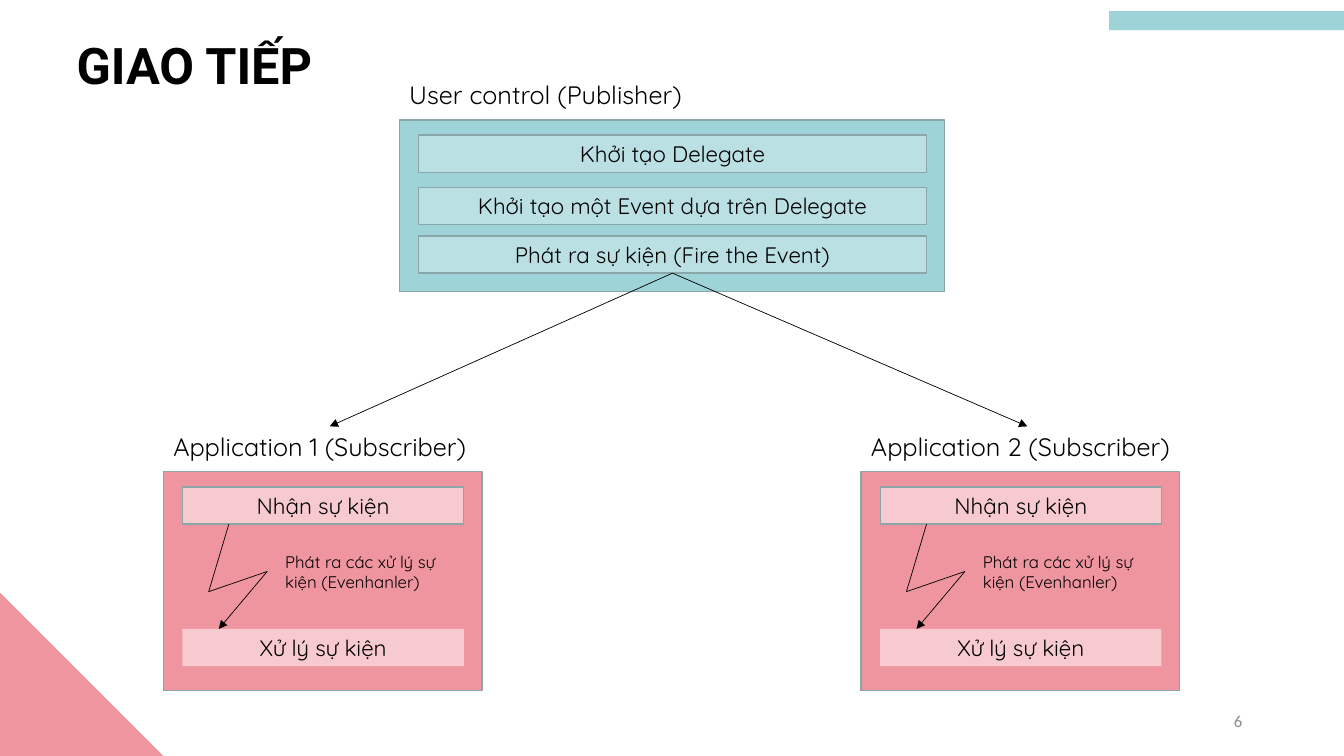
from dataclasses import dataclass
from itertools import pairwise

from lxml import etree
from pptx import Presentation
from pptx import util as u
from pptx.dml import color
from pptx.enum import shapes, text
from pptx.oxml import ns

TEAL, PALE_TEAL = "9ED3D7", "BBE0E3"
PINK, PALE_PINK = "EF95A0", "F7CAD0"
BORDER, BLACK, GREY = "8AA6A8", "000000", "8C8C8C"
RECTANGLE = shapes.MSO_SHAPE.RECTANGLE
LEFT, CENTER, RIGHT = text.PP_ALIGN.LEFT, text.PP_ALIGN.CENTER, text.PP_ALIGN.RIGHT
TOP, MIDDLE = text.MSO_ANCHOR.TOP, text.MSO_ANCHOR.MIDDLE


@dataclass(frozen=True)
class Area:
    left: float
    top: float
    width: float
    height: float

    def inches(self) -> list:
        return [u.Inches(v) for v in (self.left, self.top, self.width, self.height)]


@dataclass(frozen=True)
class Subscriber:
    name: str
    left: float
    arrow_end: float


SUBSCRIBERS = [
    Subscriber("Application 1 (Subscriber)", 1.62, 3.27),
    Subscriber("Application 2 (Subscriber)", 8.54, 10.19),
]
PUBLISHER_STEPS = {
    1.34: "Khởi tạo Delegate",
    1.86: "Khởi tạo một Event dựa trên Delegate",
    2.34: "Phát ra sự kiện (Fire the Event)",
}
ZIGZAG = [(0.65, 5.2), (0.45, 5.87), (1.03, 5.67), (0.55, 6.24)]


def rgb(value: str) -> color.RGBColor:
    return color.RGBColor.from_string(value)


def write(shape, words: str, size: float, align=LEFT, anchor=TOP,
          font: str = "Quicksand", ink: str = BLACK, bold: bool = False) -> None:
    frame = shape.text_frame
    frame.text = words
    frame.word_wrap = True
    frame.auto_size = text.MSO_AUTO_SIZE.NONE
    frame.vertical_anchor = anchor
    para = frame.paragraphs[0]
    para.alignment = align
    span = para.runs[0].font
    span.name, span.size, span.bold = font, u.Pt(size), bold
    span.color.rgb = rgb(ink)


def add_block(page, area: Area, fill: str, border: str = "", kind=RECTANGLE):
    block = page.shapes.add_shape(kind, *area.inches())
    block.shadow.inherit = False
    block.fill.solid()
    block.fill.fore_color.rgb = rgb(fill)
    if border:
        block.line.color.rgb = rgb(border)
        block.line.width = u.Pt(1)
    else:
        block.line.fill.background()
    return block


def add_step(page, area: Area, words: str, fill: str, border: str = BORDER) -> None:
    write(add_block(page, area, fill, border), words, 16, CENTER)


def add_label(page, area: Area, words: str, size: float, **style) -> None:
    write(page.shapes.add_textbox(*area.inches()), words, size, **style)


def add_line(page, start: tuple, end: tuple, arrow: bool = False) -> None:
    line = page.shapes.add_connector(
        shapes.MSO_CONNECTOR.STRAIGHT, *(u.Inches(v) for v in start + end))
    line.line.color.rgb = rgb(BLACK)
    line.line.width = u.Pt(0.5)
    if arrow:
        etree.SubElement(line.line._get_or_add_ln(), ns.qn("a:tailEnd"), type="triangle")
    etree.SubElement(line._element.spPr, ns.qn("a:effectLst"))


def add_title(page, words: str) -> None:
    title = page.shapes.title
    title.left, title.top, title.width, title.height = Area(0.76, 0.34, 11.82, 0.61).inches()
    write(title, words, 36, font="Roboto", bold=True)
    frame = title.text_frame
    frame.margin_left = frame.margin_top = frame.margin_right = frame.margin_bottom = 0


def add_publisher(page) -> None:
    add_label(page, Area(3.96, 0.74, 5.49, 0.4), "User control (Publisher)", 18)
    add_block(page, Area(3.96, 1.19, 5.41, 1.7), TEAL, BORDER)
    for top, words in PUBLISHER_STEPS.items():
        add_step(page, Area(4.15, top, 5.04, 0.37), words, PALE_TEAL)


def add_subscriber(page, app: Subscriber) -> None:
    add_label(page, Area(app.left, 4.23, 3.28, 0.4), app.name, 18)
    add_block(page, Area(app.left, 4.68, 3.16, 2.17), PINK, BORDER)
    add_step(page, Area(app.left + 0.19, 4.83, 2.79, 0.37), "Nhận sự kiện", PALE_PINK)
    add_step(page, Area(app.left + 0.19, 6.24, 2.79, 0.37), "Xử lý sự kiện", PALE_PINK, "")
    points = [(app.left + x, y) for x, y in ZIGZAG]
    for start, end in pairwise(points):
        add_line(page, start, end, arrow=end == points[-1])
    add_label(page, Area(app.left + 1.11, 5.42, 1.86, 0.5),
              "Phát ra các xử lý sự kiện (Evenhanler)", 12)


def main() -> None:
    deck = Presentation()
    deck.slide_width, deck.slide_height = u.Inches(13.33), u.Inches(7.5)
    page = deck.slides.add_slide(deck.slide_layouts.get_by_name("Title Only"))
    add_block(page, Area(0, 5.88, 1.62, 1.62), PINK, kind=shapes.MSO_SHAPE.RIGHT_TRIANGLE)
    add_block(page, Area(11, 0.11, 2.33, 0.19), TEAL)
    add_title(page, "GIAO TIẾP")
    add_label(page, Area(9.42, 6.95, 3, 0.4), "6", 12,
              align=RIGHT, anchor=MIDDLE, font="Calibri", ink=GREY)
    add_publisher(page)
    for app in SUBSCRIBERS:
        add_subscriber(page, app)
        add_line(page, (6.67, 2.71), (app.arrow_end, 4.23), arrow=True)
    deck.save("out.pptx")


if __name__ == "__main__":
    main()
